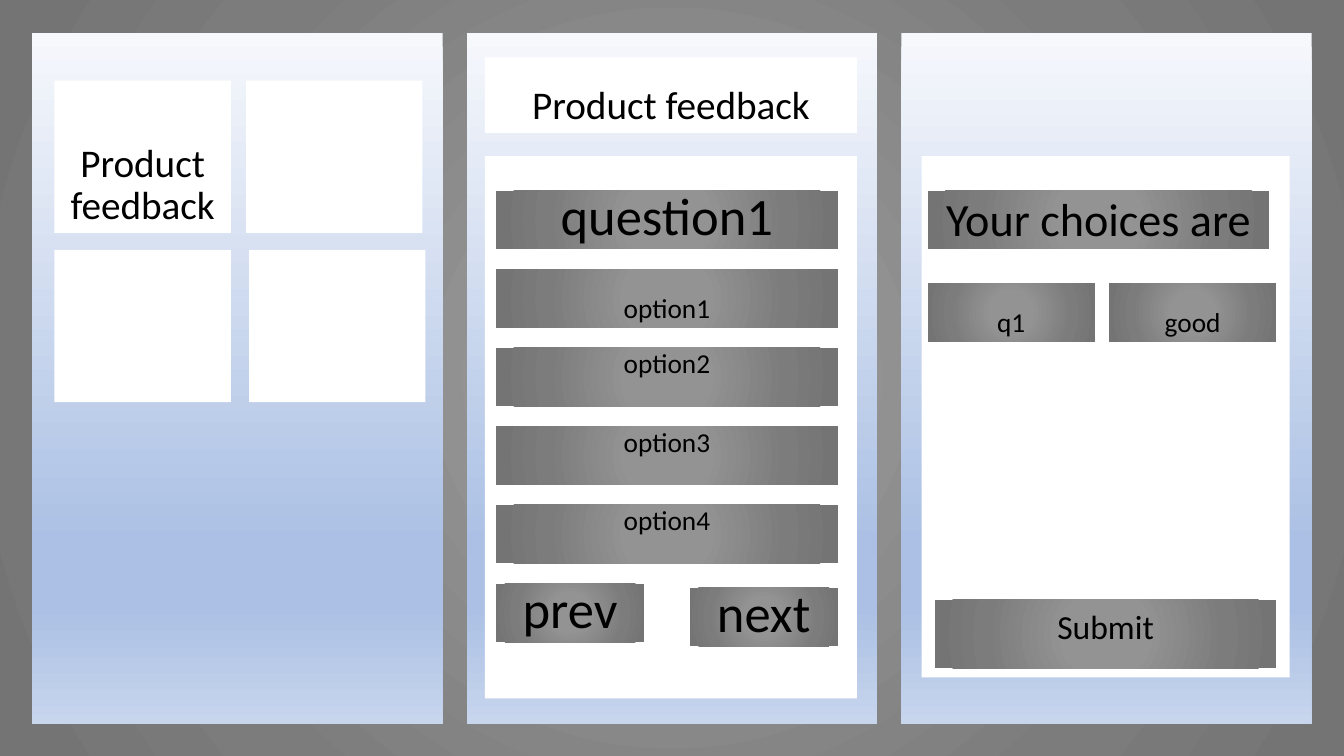
from dataclasses import dataclass

from lxml import etree
from pptx import Presentation
from pptx.dml.color import RGBColor
from pptx.enum.shapes import MSO_SHAPE
from pptx.enum.text import MSO_ANCHOR, PP_ALIGN
from pptx.oxml.ns import nsdecls, qn
from pptx.util import Emu, Inches, Pt

RECTANGLE = MSO_SHAPE.RECTANGLE
BOTTOM = MSO_ANCHOR.BOTTOM
CENTER = PP_ALIGN.CENTER
COLUMNS, ROWS = 133.3, 75


@dataclass(frozen=True)
class Theme:
    font: str = "Calibri"
    ink: str = "000000"
    card: str = "FFFFFF"
    screen: tuple = ((0, "F6F8FC"), (74, "ABC0E4"), (83, "ABC0E4"), (100, "C7D5ED"))
    metal: tuple = ((0, "939393"), (23, "939393"), (69, "7C7C7C"), (97, "747474"))
    headline: float = 37.5
    summary: float = 33
    title: float = 28
    action: float = 24
    label: float = 19.5


THEME = Theme()
LINEAR = '<a:lin ang="5400000" scaled="0"/>'
RADIAL = ('<a:path path="circle">'
          '<a:fillToRect l="50000" t="50000" r="50000" b="50000"/></a:path>')


def paint_gradient(fill, element, stops, direction):
    """Swap a solid fill for a gradient with any number of stops."""
    fill.solid()
    solid = element.find(".//" + qn("a:solidFill"))
    marks = "".join(f'<a:gs pos="{share * 1000}"><a:srgbClr val="{color}"/></a:gs>'
                    for share, color in stops)
    gradient = etree.fromstring(
        f'<a:gradFill {nsdecls("a")} rotWithShape="1">'
        f'<a:gsLst>{marks}</a:gsLst>{direction}</a:gradFill>')
    solid.getparent().replace(solid, gradient)


class Wireframe:
    def __init__(self, deck, theme):
        self.theme = theme
        self.page = deck.slides.add_slide(deck.slide_layouts[6])
        self.column = deck.slide_width / COLUMNS
        self.row = deck.slide_height / ROWS
        paint_gradient(self.page.background.fill, self.page.element,
                       theme.metal, RADIAL)

    def box(self, left, top, width, height):
        shape = self.page.shapes.add_shape(
            RECTANGLE, Emu(round(left * self.column)), Emu(round(top * self.row)),
            Emu(round(width * self.column)), Emu(round(height * self.row)))
        shape.shadow.inherit = False
        shape.line.fill.background()
        return shape

    def screen(self, *place):
        shape = self.box(*place)
        paint_gradient(shape.fill, shape.element, self.theme.screen, LINEAR)

    def card(self, *place, text=None):
        shape = self.box(*place)
        shape.fill.solid()
        shape.fill.fore_color.rgb = RGBColor.from_string(self.theme.card)
        if text:
            self.caption(shape, text, self.theme.title, 0.9)

    def button(self, text, size, *place, lift=0):
        """Draw a metal bar; lift raises its text by that many rows."""
        shape = self.box(*place)
        paint_gradient(shape.fill, shape.element, self.theme.metal, RADIAL)
        self.caption(shape, text, size, 0.7, lift)

    def caption(self, shape, text, size, spacing, lift=0):
        frame = shape.text_frame
        para = frame.paragraphs[0]
        span = para.add_run()
        span.text = text
        formats = (
            (frame, {"word_wrap": True, "vertical_anchor": BOTTOM,
                     "margin_bottom": Emu(round((0.5 + lift) * self.row))}),
            (para, {"alignment": CENTER, "line_spacing": spacing}),
            (span.font, {"name": self.theme.font, "size": Pt(size)}),
            (span.font.color, {"rgb": RGBColor.from_string(self.theme.ink)}),
        )
        for target, values in formats:
            for name, value in values.items():
                setattr(target, name, value)


def draw_home(wireframe):
    tiles = {(5.4, 8): "Product feedback", (24.4, 8): None,
             (5.4, 24.8): None, (24.7, 24.8): None}
    for (left, top), text in tiles.items():
        wireframe.card(left, top, 17.5, 15.1, text=text)


def draw_question(wireframe):
    left, top, width, height, step = 49.2, 18.9, 33.9, 5.8, 7.8
    theme = wireframe.theme
    wireframe.card(48.1, 5.7, 36.9, 7.5, text="Product feedback")
    wireframe.card(48.1, 15.5, 36.9, 53.8)
    wireframe.button("question1", theme.headline, left, top, width, height)
    for number in range(1, 5):
        wireframe.button(f"option{number}", theme.label,
                         left, top + number * step, width, height,
                         lift=0 if number == 1 else 2.3)
    wireframe.button("prev", theme.headline, left, 57.9, 14.7, height)
    wireframe.button("next", theme.headline, 68.4, 58.3, 14.7, height)


def draw_summary(wireframe):
    theme = wireframe.theme
    wireframe.card(91.4, 15.5, 36.5, 51.7)
    wireframe.button("Your choices are", theme.summary, 92, 18.9, 33.9, 5.8)
    for left, text in ((92, "q1"), (110, "good")):
        wireframe.button(text, theme.label, left, 28.1, 16.6, 5.8)
    wireframe.button("Submit", theme.action, 92.7, 59.5, 33.9, 6.8, lift=1.8)


def main():
    deck = Presentation()
    deck.slide_width, deck.slide_height = Inches(13.33), Inches(7.5)
    wireframe = Wireframe(deck, THEME)
    for index, draw in enumerate((draw_home, draw_question, draw_summary)):
        wireframe.screen(3.2 + index * 43.1, 3.3, 40.7, 68.5)
        draw(wireframe)
    deck.save("out.pptx")


if __name__ == "__main__":
    main()
